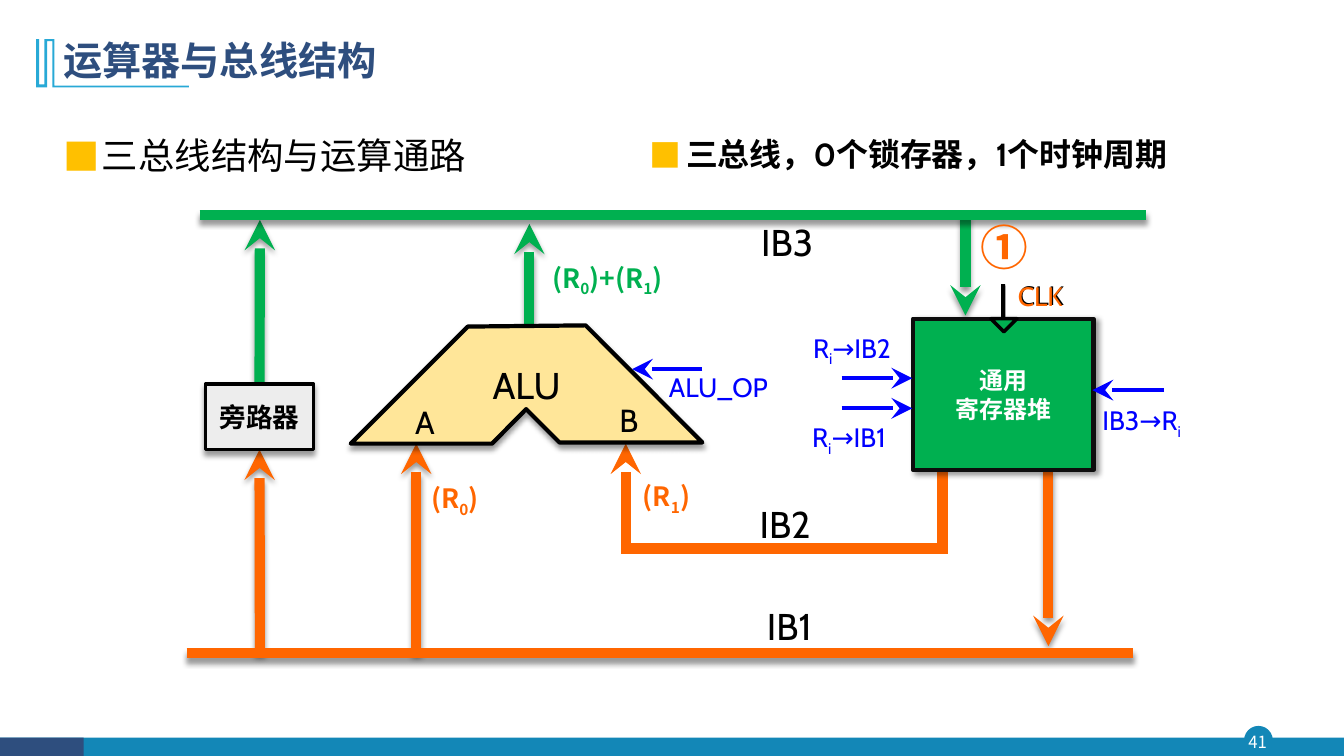
from lxml import etree
from pptx import Presentation
from pptx.dml.color import RGBColor
from pptx.enum.shapes import MSO_CONNECTOR, MSO_SHAPE
from pptx.enum.text import MSO_ANCHOR, PP_ALIGN
from pptx.oxml.ns import qn
from pptx.util import Cm, Pt

STRAIGHT = MSO_CONNECTOR.STRAIGHT
RECT, OVAL, TRIANGLE = MSO_SHAPE.RECTANGLE, MSO_SHAPE.OVAL, MSO_SHAPE.ISOSCELES_TRIANGLE
TOP, MIDDLE = MSO_ANCHOR.TOP, MSO_ANCHOR.MIDDLE
LEFT, CENTER, RIGHT = PP_ALIGN.LEFT, PP_ALIGN.CENTER, PP_ALIGN.RIGHT
SIDE_TOP, SIDE_BOTTOM = 0, 2
CJK, LATIN = "Noto Sans CJK SC", "Cabin"
COLORS = {
    "navy": "2E4E7E", "teal": "1387B7", "sky": "28A9D6", "amber": "FFC000",
    "orange": "FF6600", "green": "00B050", "blue": "0000FF", "cream": "FFE699",
    "gray": "EDEDED", "black": "000000", "edge": "0D0D0D", "white": "FFFFFF",
}
BUS_WIDTH = 7.25
IB3_Y, IB1_Y, IB2_Y = 5.41, 16.46, 13.82


def rgb(color):
    """Return the named colour."""
    return RGBColor.from_string(COLORS[color])


def add_effects(shape, shadow_angle=None):
    """Give a shape a soft shadow at an angle, or no effect at all."""
    effects = etree.SubElement(shape._element.spPr, qn("a:effectLst"))
    if shadow_angle is not None:
        shadow = etree.SubElement(effects, qn("a:outerShdw"), blurRad=str(Pt(4)),
                                  dist=str(Pt(3)), dir=str(shadow_angle * 60000), algn="tl", rotWithShape="0")
        shade = etree.SubElement(shadow, qn("a:srgbClr"), val=COLORS["black"])
        etree.SubElement(shade, qn("a:alpha"), val="40000")


def add_bullet(paragraph, indent):
    """Put an amber square before a paragraph."""
    props = paragraph._p.get_or_add_pPr()
    props.set("marL", str(Cm(indent)))
    props.set("indent", str(-Cm(indent)))
    tint = etree.SubElement(props, qn("a:buClr"))
    etree.SubElement(tint, qn("a:srgbClr"), val=COLORS["amber"])
    etree.SubElement(props, qn("a:buFont"), typeface=CJK)
    etree.SubElement(props, qn("a:buChar"), char="■")


def write(shape, text, size=19, font=LATIN, color="black", bold=False, align=LEFT,
          anchor=TOP, wrap=True, spacing=None, bullet=None, margin=None):
    """Fill a shape with text; parts between bars are subscripts."""
    frame = shape.text_frame
    frame.word_wrap, frame.vertical_anchor = wrap, anchor
    if margin is not None:
        frame.margin_left = frame.margin_right = Cm(margin)
        frame.margin_top = frame.margin_bottom = Cm(margin)
    for row, content in enumerate(text.split("\n")):
        paragraph = frame.add_paragraph() if row else frame.paragraphs[0]
        if bullet:
            add_bullet(paragraph, bullet)
        paragraph.alignment, paragraph.line_spacing = align, spacing
        for position, part in enumerate(content.split("|")):
            run = paragraph.add_run()
            run.text = part
            run.font.size, run.font.name, run.font.bold = Pt(size), font, bold
            run.font.color.rgb = rgb(color)
            props = run._r.get_or_add_rPr()
            etree.SubElement(props, qn("a:ea"), typeface=CJK)
            if position % 2:
                props.set("baseline", "-25000")


def add_label(slide, box, text, **style):
    """Add a text box."""
    write(slide.shapes.add_textbox(*map(Cm, box)), text, **style)


def paint(shape, fill, line=None, width=1, shadow_angle=None):
    """Set fill, outline and shadow."""
    shape.fill.solid()
    shape.fill.fore_color.rgb = rgb(fill)
    if line:
        shape.line.color.rgb = rgb(line)
        shape.line.width = Pt(width)
    else:
        shape.line.fill.background()
    add_effects(shape, shadow_angle)
    return shape


def add_block(slide, kind, box, fill, **look):
    """Add a painted preset shape."""
    return paint(slide.shapes.add_shape(kind, *map(Cm, box)), fill, **look)


def add_outline(slide, points, fill, **look):
    """Add a painted closed polygon."""
    corners = [(Cm(x), Cm(y)) for x, y in points]
    builder = slide.shapes.build_freeform(*corners[0])
    builder.add_line_segments(corners[1:], close=True)
    return paint(builder.convert_to_shape(), fill, **look)


def add_wire(slide, ends, color, width=BUS_WIDTH, head=None, shadow_angle=None):
    """Add a straight line, with a stealth head of the given size if any."""
    wire = slide.shapes.add_connector(STRAIGHT, *map(Cm, ends))
    wire.line.color.rgb = rgb(color)
    wire.line.width = Pt(width)
    if head:
        etree.SubElement(wire.line._get_or_add_ln(), qn("a:tailEnd"), type="stealth", w=head, len=head)
    add_effects(wire, shadow_angle)
    return wire


def add_frame(slide):
    """Draw the title, its ornament and the footer."""
    add_block(slide, OVAL, (31.37, 18.31, 0.69, 0.69), "teal", line="teal")
    add_block(slide, RECT, (0, 18.59, 33.87, 0.46), "teal")
    add_block(slide, RECT, (0, 18.59, 2.11, 0.46), "navy")
    add_label(slide, (31.29, 18.31, 0.81, 0.79), "41", size=12, font=CJK,
              color="white", align=CENTER, anchor=MIDDLE, margin=0)
    add_outline(slide, [(1.37, 0.99), (1.37, 2.16), (4.76, 2.16), (4.76, 2.2), (1.32, 2.2),
                        (1.32, 1.04), (1.19, 1.04), (1.19, 2.2), (0.91, 2.2), (0.91, 0.99),
                        (0.99, 0.99), (0.99, 2.13), (1.12, 2.13), (1.12, 0.99)], "sky")
    add_label(slide, (1.35, 0.71, 29.21, 1.73), "运算器与总线结构", size=28, font=CJK,
              color="navy", bold=True, anchor=MIDDLE, spacing=0.9)


def add_datapath(slide):
    """Draw the buses, the units and the wires that join them."""
    bypass_in = add_wire(slide, (6.55, IB1_Y, 6.55, 11.33), "orange", head="med", shadow_angle=90)
    bypass_out = add_wire(slide, (6.55, 9.68, 6.55, 5.54), "green", head="med", shadow_angle=90)
    clock = add_wire(slide, (25.28, 7.16, 25.28, 8.03), "black", width=3)
    for ends, color in [((24.33, IB3_Y, 24.33, 7.95), "green"),
                        ((10.49, IB1_Y, 10.49, 11.18), "orange"),
                        ((26.42, 11.84, 26.42, 16.28), "orange"),
                        ((13.34, 8.23, 13.34, 5.64), "green")]:
        add_wire(slide, ends, color, head="med", shadow_angle=90)
    add_wire(slide, (15.77, IB2_Y, 15.77, 11.18), "orange", head="med")
    add_wire(slide, (23.88, IB2_Y, 15.64, IB2_Y), "orange")
    add_wire(slide, (23.75, IB2_Y, 23.75, 11.9), "orange")
    add_wire(slide, (5.03, IB3_Y, 28.88, IB3_Y), "green", shadow_angle=90)
    add_wire(slide, (4.7, IB1_Y, 28.55, IB1_Y), "orange", shadow_angle=90)

    alu = add_outline(slide, [(11.79, 8.23), (8.84, 11.18), (12.4, 11.18), (13.26, 10.31),
                              (14.1, 11.15), (17.7, 11.15), (14.76, 8.2)],
                      "cream", line="black", width=3, shadow_angle=90)
    write(alu, "ALU", size=26.6, align=CENTER, anchor=MIDDLE)
    bypass = add_block(slide, RECT, (5.18, 9.68, 2.72, 1.65), "gray", line="black", width=2.5, shadow_angle=90)
    write(bypass, "旁路器", bold=True, align=CENTER, anchor=MIDDLE)
    registers = add_block(slide, RECT, (23.01, 8.03, 4.55, 3.81), "green", line="edge", width=3, shadow_angle=45)
    write(registers, "通用\n寄存器堆", size=17.1, font=CJK, color="white", bold=True,
          align=CENTER, anchor=MIDDLE)
    notch = add_block(slide, TRIANGLE, (24.97, 8.03, 0.66, 0.33), "green", line="black", width=2.5)
    notch.rotation = 180
    bypass_in.end_connect(bypass, SIDE_BOTTOM)
    bypass_out.begin_connect(bypass, SIDE_TOP)
    clock.end_connect(registers, SIDE_TOP)


def add_labels(slide):
    """Label buses, ports, signals and operands."""
    for text, x, y in [("IB3", 18.69, 5.41), ("IB2", 18.62, 12.5), ("IB1", 18.65, 15.09)]:
        add_label(slide, (x, y, 2.06, 1.4), text, size=26.6, align=RIGHT, wrap=False)
    for text, x, y in [("A", 10.11, 10.03), ("B", 15.24, 9.96)]:
        add_label(slide, (x, y, 1.1, 1.22), text, size=22.8, align=RIGHT, wrap=False)
    for color, x, y in [("black", 25.43, 6.91), ("orange", 25.4, 6.93)]:
        add_label(slide, (x, y, 2.11, 0.86), "CLK", color=color)
    for text, x, y, start, end, wire_y in [("ALU_OP", 16.61, 9.22, 17.7, 15.93, 9.3),
                                           ("R|i|→IB2", 20.24, 8.23, 21.21, 22.99, 9.53),
                                           ("R|i|→IB1", 20.22, 10.49, 21.21, 22.99, 10.29),
                                           ("IB3→R|i", 27.53, 10.06, 29.34, 27.53, 9.83)]:
        add_wire(slide, (start, wire_y, end, wire_y), "blue", width=3, head="lg")
        add_label(slide, (x, y, 3.33, 0.86), text, color="blue")
    for text, box, color, size in [("①", (24.46, 6.12, 1.75, 1.09), "orange", 34.1),
                                   ("(R|0|)+(R|1|)", (13.67, 6.68, 3.61, 0.97), "green", 19),
                                   ("(R|1|)", (15.95, 12.19, 1.83, 0.97), "orange", 19),
                                   ("(R|0|)", (10.62, 12.24, 1.83, 0.97), "orange", 19)]:
        add_label(slide, box, text, size=size, font=CJK, color=color, bold=True,
                  wrap=False, spacing=Pt(19.8))


def main():
    """Build the three-bus slide."""
    deck = Presentation()
    deck.slide_width, deck.slide_height = Cm(33.87), Cm(19.05)
    slide = deck.slides.add_slide(deck.slide_layouts[6])
    add_frame(slide)
    add_label(slide, (1.35, 2.62, 14.5, 2.57), "三总线结构与运算通路", size=26, font=CJK,
              anchor=MIDDLE, bullet=0.97)
    add_label(slide, (16.13, 3.1, 14.38, 1.55), "三总线，0个锁存器，1个时钟周期", size=22.8,
              bold=True, anchor=MIDDLE, bullet=0.91)
    add_datapath(slide)
    add_labels(slide)
    deck.save("out.pptx")


if __name__ == "__main__":
    main()
